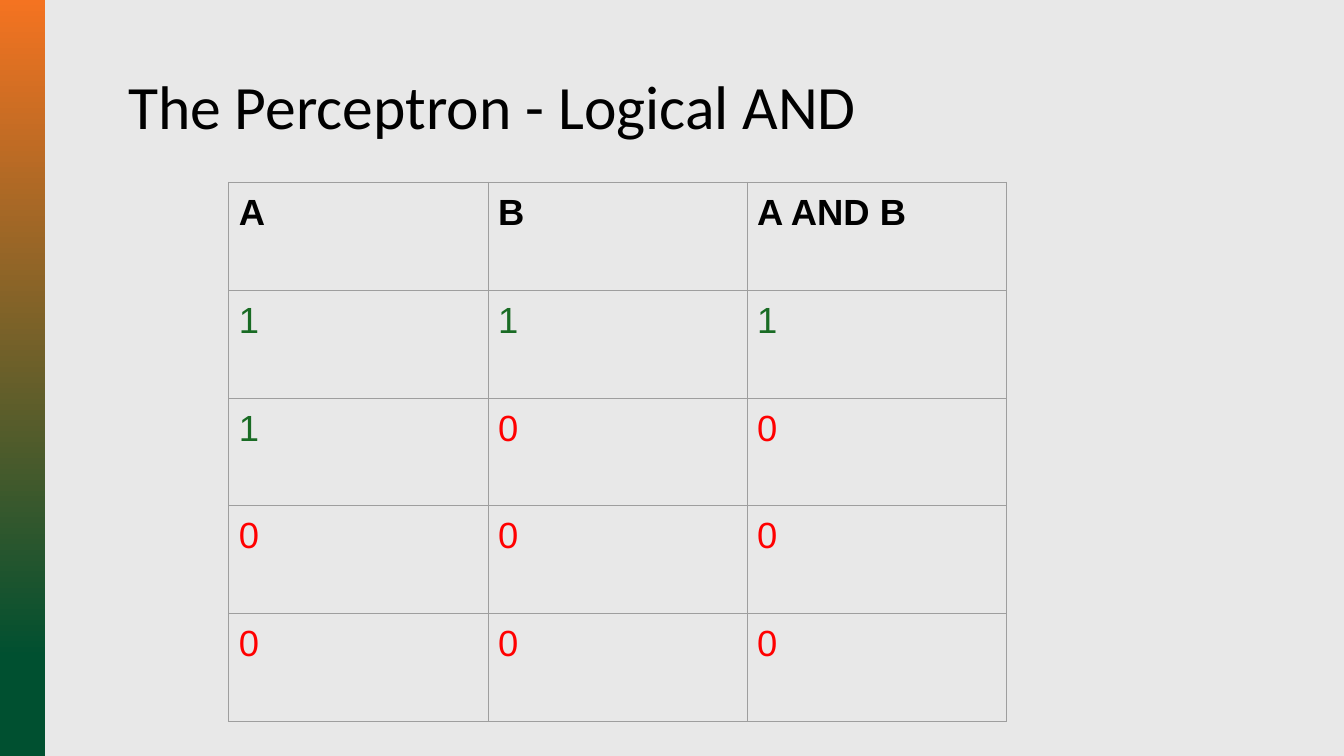
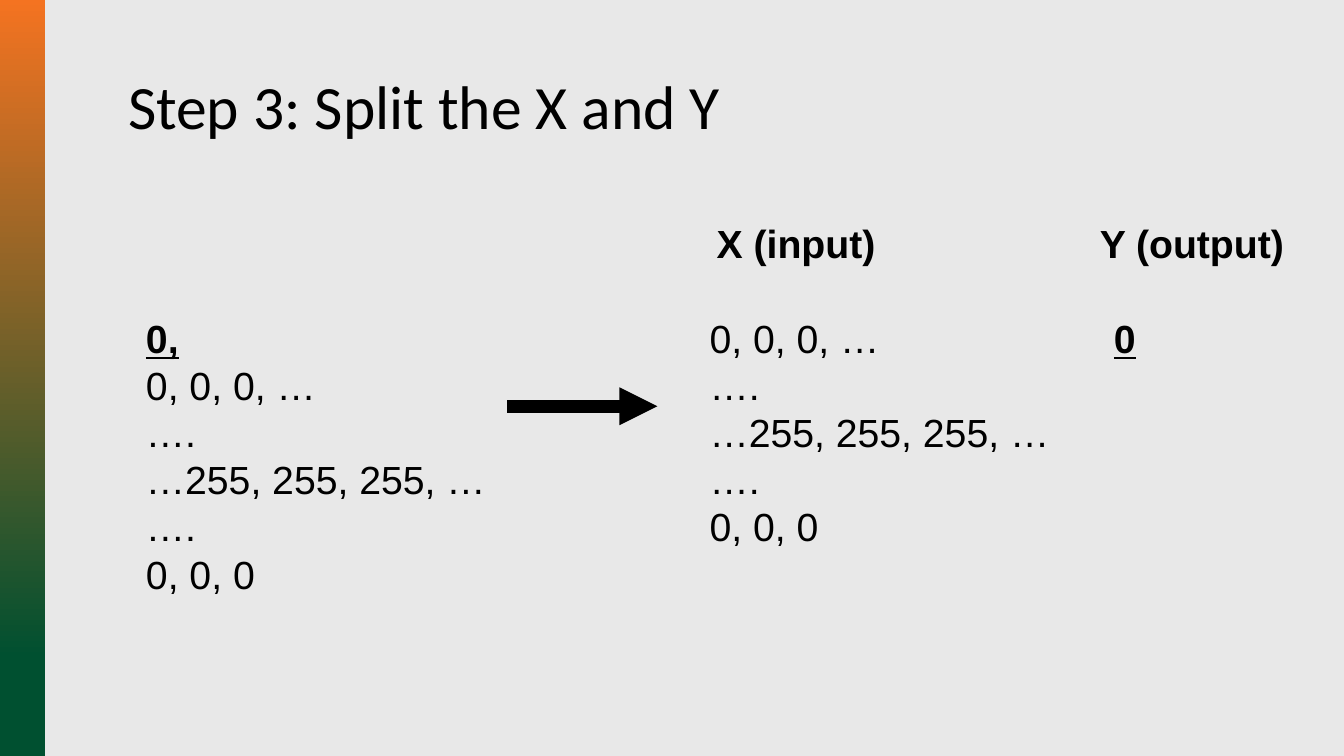
from lxml import etree
from pptx import Presentation
from pptx.dml.color import RGBColor
from pptx.enum import shapes, text
from pptx.oxml import ns
from pptx.util import Inches, Pt

BLACK, GREEN, RED = "000000", "196B24", "FF0000"
BACKGROUND, BORDER = "E8E8E8", "9E9E9E"
BAND_TOP, BAND_BOTTOM = "F47321", "005030"
TITLE_FONT = {"name": "Calibri", "size": Pt(44)}
BODY_FONT = {"name": "Arial", "size": Pt(28)}
TABLE_FONT = {"name": "Arial", "size": Pt(26)}
HEADING = {"bold": True}
LABEL = {"bold": True, "underline": True}
INSETS = {f"margin_{side}": Inches(0.1) for side in ("left", "top", "right", "bottom")}
TITLE_FRAME = {
    "auto_size": text.MSO_AUTO_SIZE.NONE,
    "vertical_anchor": text.MSO_ANCHOR.MIDDLE,
    "word_wrap": True,
}
PIXELS = ["0, 0, 0, …", "….", "…255, 255, 255, …", "….", "0, 0, 0"]


def rgb(value):
    return RGBColor.from_string(value)


def apply(target, values):
    for name, value in values.items():
        setattr(target, name, value)


def inches(box):
    return [Inches(length) for length in box]


def style_font(font, values, color=BLACK):
    apply(font, values)
    font.color.rgb = rgb(color)


def add_child(parent, tag, **attributes):
    return etree.SubElement(parent, ns.qn(tag), attributes)


def add_band(slide, box):
    band = slide.shapes.add_shape(shapes.MSO_SHAPE.RECTANGLE, *inches(box))
    band.shadow.inherit = False
    band.line.fill.background()
    band.fill.gradient()
    band.fill.gradient_angle = 270
    stops = zip(band.fill.gradient_stops, (0, 0.87), (BAND_TOP, BAND_BOTTOM))
    for stop, position, color in stops:
        stop.position = position
        stop.color.rgb = rgb(color)


def add_titled_slide(prs, title, title_width):
    slide = prs.slides.add_slide(prs.slide_layouts[5])
    heading = slide.shapes.title
    heading.left, heading.top, heading.width, heading.height = inches(
        (1.17, 0.36, title_width, 1.45))
    apply(heading.text_frame, TITLE_FRAME)
    heading.text_frame.text = title
    paragraph = heading.text_frame.paragraphs[0]
    apply(paragraph, {"alignment": text.PP_ALIGN.LEFT, "line_spacing": 0.9})
    style_font(paragraph.font, TITLE_FONT)
    add_band(slide, (0, 0, 0.45, 7.5))
    return slide


def add_borders(cell):
    properties = cell._tc.get_or_add_tcPr()
    for index, side in enumerate("LRTB"):
        line = add_child(properties, f"a:ln{side}", w=str(Pt(0.75)))
        add_child(add_child(line, "a:solidFill"), "a:srgbClr", val=BORDER)
        properties.insert(index, line)  # borders must precede the fill


def add_truth_table(slide, box, rows):
    frame = slide.shapes.add_table(len(rows), len(rows[0]), *inches(box))
    table = frame.table
    apply(table, {"first_row": False, "horz_banding": False})
    for row_index, row in enumerate(rows):
        for column_index, value in enumerate(row):
            cell = table.cell(row_index, column_index)
            cell.text = str(value)
            apply(cell, INSETS)
            cell.fill.background()
            add_borders(cell)
            style_font(cell.text_frame.paragraphs[0].font,
                       {**TABLE_FONT, "bold": row_index == 0},
                       {1: GREEN, 0: RED}.get(value, BLACK))


def add_lines(slide, box, lines, first_line_style=None):
    frame = slide.shapes.add_textbox(*inches(box)).text_frame
    apply(frame, {**INSETS, "word_wrap": True})
    frame.text = "\n".join(lines)
    for paragraph in frame.paragraphs:
        style_font(paragraph.font, BODY_FONT)
    apply(frame.paragraphs[0].font, first_line_style or {})


def add_arrow(slide, left, right, y):
    arrow = slide.shapes.add_connector(
        shapes.MSO_CONNECTOR.STRAIGHT, *inches((left, y, right, y)))
    arrow.line.width = Pt(9)
    arrow.line.color.rgb = rgb(BLACK)
    add_child(arrow.line._get_or_add_ln(), "a:tailEnd", type="triangle")
    add_child(arrow._element.spPr, "a:effectLst")


def build_logical_and(prs):
    slide = add_titled_slide(prs, "The Perceptron - Logical AND", 9.08)
    inputs = [(1, 1), (1, 0), (0, 0), (0, 0)]
    rows = [("A", "B", "A AND B")] + [(a, b, a & b) for a, b in inputs]
    add_truth_table(slide, (2.27, 1.81, 3 * 2.57, 5 * 1.07), rows)


def build_split(prs):
    slide = add_titled_slide(prs, "Step 3: Split the X and Y", 10.73)
    data_top, heading_top = 3.02, 2.08
    add_lines(slide, (1.35, data_top, 4.27, 3.16), ["0,"] + PIXELS, LABEL)
    add_lines(slide, (6.94, data_top, 3.87, 3.16), PIXELS)
    add_lines(slide, (10.95, data_top, 0.74, 0.7), ["0"], LABEL)
    add_arrow(slide, 5.03, 6.52, 4.03)
    add_lines(slide, (7.01, heading_top, 2.18, 0.67), ["X (input)"], HEADING)
    add_lines(slide, (10.81, heading_top, 2.34, 0.67), ["Y (output)"], HEADING)


def main():
    prs = Presentation()
    prs.slide_width, prs.slide_height = inches((13.33, 7.5))
    background = prs.slide_master.background.fill
    background.solid()
    background.fore_color.rgb = rgb(BACKGROUND)
    build_logical_and(prs)
    build_split(prs)
    prs.save("out.pptx")


if __name__ == "__main__":
    main()
